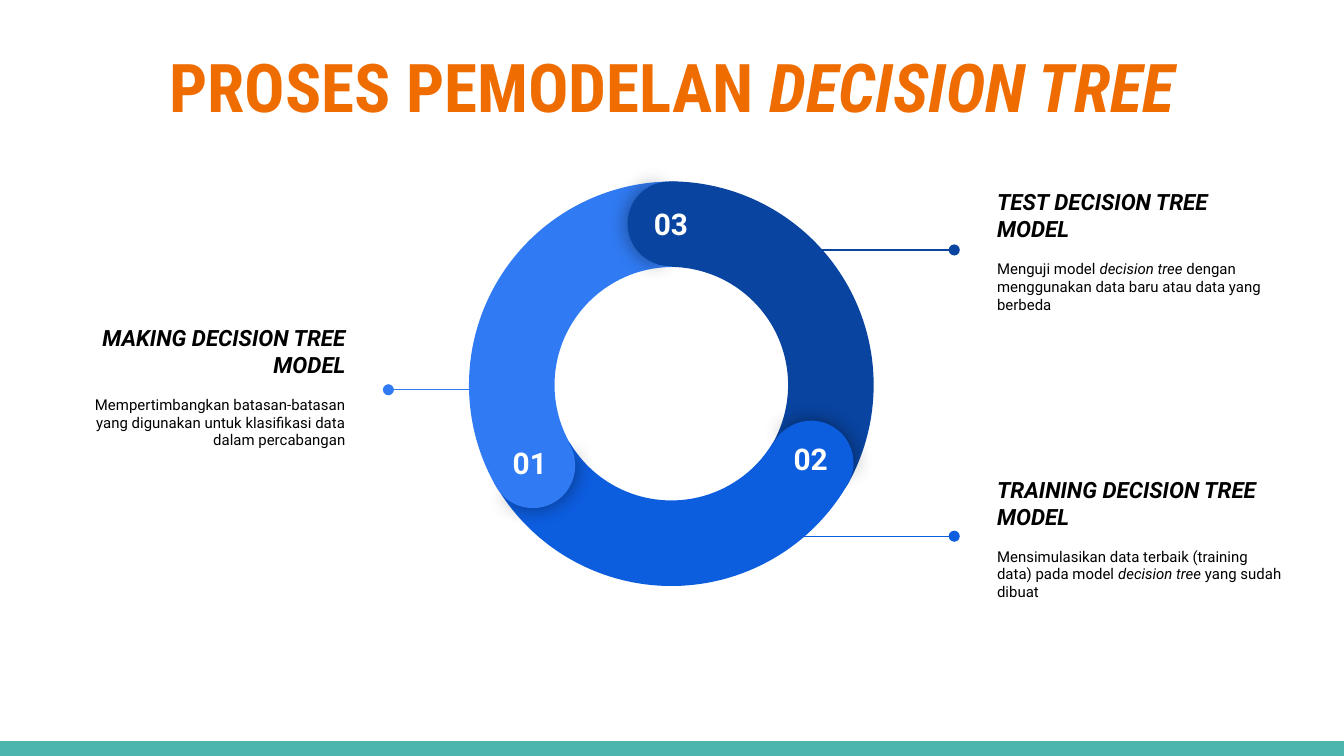
from dataclasses import dataclass

from lxml import etree
from pptx import Presentation
from pptx.dml.color import RGBColor
from pptx.enum.shapes import MSO_CONNECTOR, MSO_SHAPE
from pptx.enum.text import MSO_ANCHOR, MSO_AUTO_SIZE, PP_ALIGN
from pptx.oxml import parse_xml
from pptx.oxml.ns import nsdecls, qn
from pptx.util import Inches, Pt

LEFT, CENTER, RIGHT = PP_ALIGN.LEFT, PP_ALIGN.CENTER, PP_ALIGN.RIGHT
TOP, MIDDLE = MSO_ANCHOR.TOP, MSO_ANCHOR.MIDDLE
RECTANGLE, BLOCK_ARC, PIE = MSO_SHAPE.RECTANGLE, MSO_SHAPE.BLOCK_ARC, MSO_SHAPE.PIE
STRAIGHT = MSO_CONNECTOR.STRAIGHT

COLORS = {
    "orange": "EF6C00", "teal": "4DB6AC", "black": "000000", "white": "FFFFFF",
    "light": "307BF3", "medium": "0D5DDF", "dark": "0944A1",
}
COLUMNS, ROWS = 100, 56.25  # square cells across the slide
CELL = Inches(10) / COLUMNS
RING_SIZE, CAP_SIZE = 30.3, 6.3
LABEL_SIZE = (5.6, 2.9)
NOTE_SIZE = (23.2, 14.1)


@dataclass(frozen=True)
class Step:
    """One stage of the cycle; positions are (column, row), *stars* mark italics."""
    number: str
    color: str
    tilt: float
    arc: tuple[float, float]
    cap: tuple[float, float]
    label: tuple[float, float]
    line: tuple[float, float, float]  # start column, end column, row
    note: tuple[float, float]
    align: PP_ALIGN
    heading: str
    detail: str


STEPS = [
    Step("03", "dark", 0, (34.7, 13.5), (46.7, 13.5), (47.4, 14.3), (57, 71, 18.6),
         (73.2, 11.6), LEFT, "*TEST DECISION TREE MODEL*",
         "Menguji model *decision tree *dengan menggunakan data baru atau data yang berbeda"),
    Step("02", "medium", 120, (34.8, 13.3), (57.2, 31.3), (57.8, 31.8), (57, 71, 39.9),
         (73.2, 33), LEFT, "*TRAINING DECISION TREE MODEL*",
         "Mensimulasikan data terbaik (training data) pada model *decision tree *yang sudah dibuat"),
    Step("01", "light", 240, (34.9, 13.5), (36.5, 31.5), (36.9, 32.1), (35.8, 28.9, 29),
         (3.5, 21.7), RIGHT, "*MAKING DECISION TREE MODEL*",
         "Mempertimbangkan batasan-batasan yang digunakan untuk klasifikasi data dalam percabangan"),
]


def cells(*counts: float) -> list[int]:
    return [round(count * CELL) for count in counts]


def color(name: str) -> RGBColor:
    return RGBColor.from_string(COLORS[name])


def write(para, text: str, *, size: float, font: str = "Roboto", ink: str = "black",
          bold: bool = False, align: PP_ALIGN = LEFT, after: float = 0) -> None:
    para.alignment = align
    para.space_before, para.space_after = Pt(0), Pt(after)
    for index, piece in enumerate(text.split("*")):
        if piece:
            span = para.add_run()
            span.text = piece
            span.font.name, span.font.size = font, Pt(size)
            span.font.bold, span.font.italic = bold, index % 2 == 1
            span.font.color.rgb = color(ink)


def prepare_frame(box, anchor: MSO_ANCHOR):
    frame = box.text_frame
    frame.word_wrap, frame.auto_size = True, MSO_AUTO_SIZE.NONE
    frame.vertical_anchor = anchor
    frame.margin_left = frame.margin_right = Inches(0.1)
    frame.margin_top = frame.margin_bottom = Inches(0.1)
    return frame


def add_shape(page, kind: MSO_SHAPE, place: tuple, fill: str, rotation: float = 0,
              angles: tuple = ()):
    shape = page.shapes.add_shape(kind, *cells(*place))
    shape.shadow.inherit = False
    shape.fill.solid()
    shape.fill.fore_color.rgb = color(fill)
    shape.line.fill.background()
    shape.rotation = rotation % 360
    for index, degrees in enumerate(angles):
        shape.adjustments[index] = degrees * 0.6  # 60000 units a degree, over 100000
    return shape


def add_glow_shadow(shape) -> None:
    effects = shape._element.spPr.find(qn("a:effectLst"))
    effects.append(parse_xml(
        f'<a:outerShdw {nsdecls("a")} blurRad="{Pt(11.2)}" dist="0" dir="0" '
        f'algn="ctr" rotWithShape="0"><a:srgbClr val="{COLORS["black"]}">'
        '<a:alpha val="43000"/></a:srgbClr></a:outerShdw>'))


def add_note(page, step: Step) -> None:
    box = page.shapes.add_textbox(*cells(*step.note, *NOTE_SIZE))
    frame = prepare_frame(box, MIDDLE)
    write(frame.paragraphs[0], step.heading, size=12, bold=True,
          align=step.align, after=9.4)
    write(frame.add_paragraph(), step.detail, size=8, align=step.align)


def add_pointer(page, step: Step) -> None:
    start, end, row = step.line
    pointer = page.shapes.add_connector(STRAIGHT, *cells(start, row, end, row))
    pointer.line.color.rgb = color(step.color)
    pointer.line.width = Pt(0.75)
    etree.SubElement(pointer.line._get_or_add_ln(), qn("a:tailEnd"),
                     type="oval", w="med", len="med")
    etree.SubElement(pointer._element.spPr, qn("a:effectLst"))


def add_arc(page, step: Step) -> None:
    arc = add_shape(page, BLOCK_ARC, (*step.arc, RING_SIZE, RING_SIZE), step.color,
                    step.tilt + 60, (210.38, 329.5))
    arc.adjustments[2] = 0.21


def add_cap(page, step: Step) -> None:
    """Round the start of an arc with a shadowed wedge and a plain one."""
    place = (*step.cap, CAP_SIZE, CAP_SIZE)
    outer = add_shape(page, PIE, place, step.color, step.tilt + 0.65, (103.17, 249.94))
    add_glow_shadow(outer)
    add_shape(page, PIE, place, step.color, step.tilt + 180, (67.14, 286.4))


def add_label(page, step: Step) -> None:
    box = page.shapes.add_textbox(*cells(*step.label, *LABEL_SIZE))
    write(prepare_frame(box, TOP).paragraphs[0], step.number + " ", size=16,
          ink="white", bold=True, align=CENTER)


def main() -> None:
    deck = Presentation()
    deck.slide_width, deck.slide_height = cells(COLUMNS, ROWS)
    page = deck.slides.add_slide(deck.slide_layouts[5])

    add_shape(page, RECTANGLE, (0, ROWS - 1.1, COLUMNS, 1.1), "teal")
    title = page.shapes.title
    title.left, title.top, title.width, title.height = cells(3.4, 2.4, 93.2, 7.7)
    write(prepare_frame(title, TOP).paragraphs[0], "PROSES PEMODELAN *DECISION TREE*",
          size=36, font="Roboto Condensed", ink="orange", bold=True, align=CENTER)

    for draw in (add_note, add_pointer, add_arc, add_cap, add_label):
        for step in STEPS:
            draw(page, step)
    deck.save("out.pptx")


if __name__ == "__main__":
    main()
